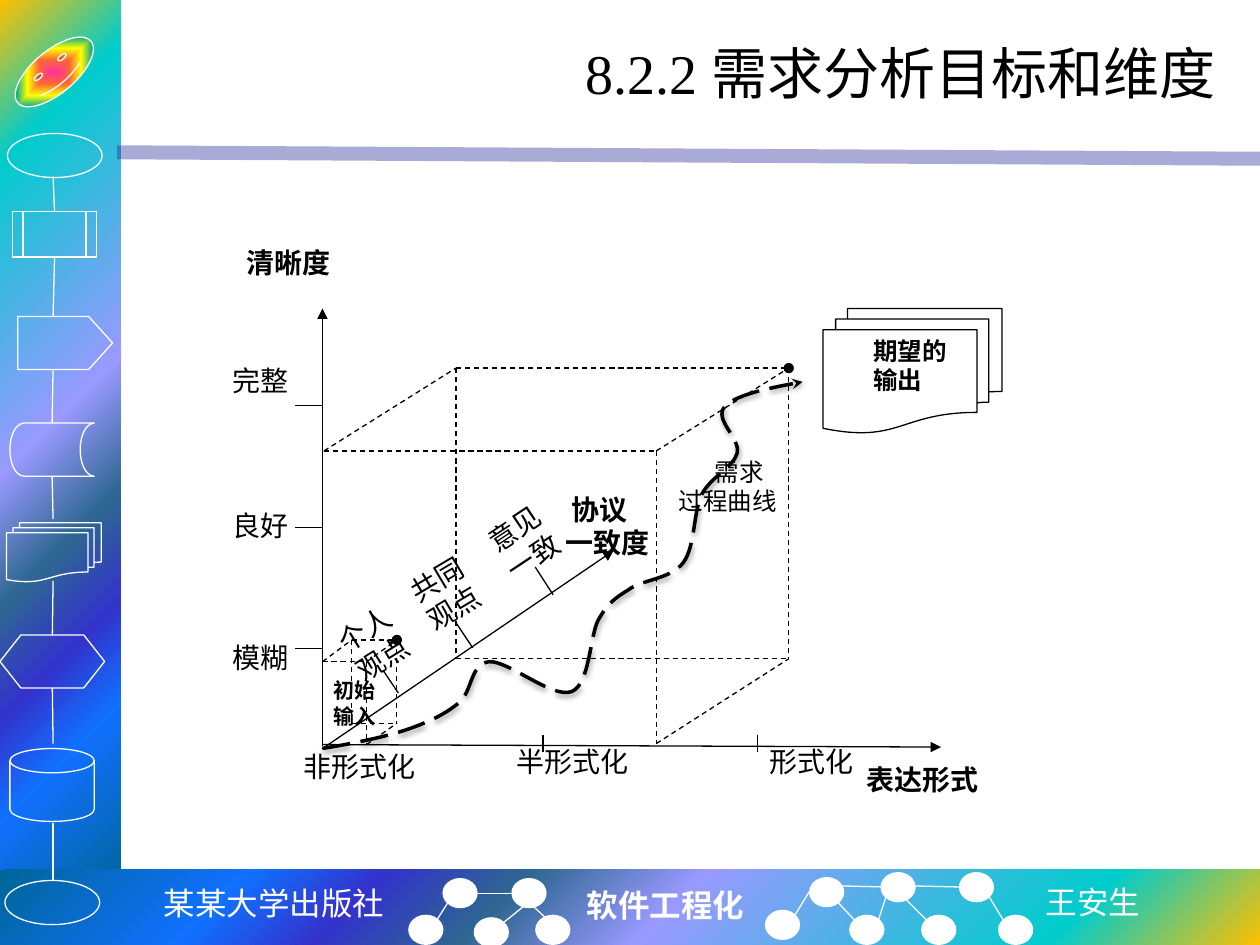
"""Build the slide on requirements analysis goals and dimensions."""
from dataclasses import dataclass

from lxml import etree
from pptx import Presentation
from pptx import util as u
from pptx.dml.color import RGBColor
from pptx.enum import dml, shapes, text
from pptx.oxml.ns import qn

MSO = shapes.MSO_SHAPE


@dataclass(frozen=True)
class Theme:
    ink: str = "000000"
    paper: str = "FFFFFF"
    rule: str = "262699"
    font: str = "Times New Roman"
    mono: str = "DejaVu Sans Mono"
    cjk: str = "Noto Sans CJK SC"
    title: int = 32
    footer: int = 18
    label: int = 16
    note: int = 14
    small: int = 12
    thin: float = 0.75
    band: tuple = ((0, "FFC000"), (16, "00CCCC"), (47, "9999FF"), (60, "2E6792"),
                   (71, "3333CC"), (81, "1170FF"), (100, "006699"))
    rainbow: tuple = ((0, "FF3399"), (25, "FF6633"), (50, "FFFF00"),
                      (75, "01A78F"), (100, "3366FF"))


T = Theme()


def cm(*inches):
    return [u.Cm(round(v * 2.54, 2)) for v in inches]


def sub(parent, tag, **attrs):
    return etree.SubElement(parent, qn("a:" + tag), {k: str(v) for k, v in attrs.items()})


def style_line(sp, color, width=T.thin, dash=None, tail=None, alpha=None):
    sp.line.color.rgb = RGBColor.from_string(color)
    sp.line.width = u.Pt(width)
    if dash:
        sp.line.dash_style = dash
    ln = sp.element.spPr.find(qn("a:ln"))
    if alpha:
        sub(ln.find(".//" + qn("a:srgbClr")), "alpha", val=alpha * 1000)
    if tail:
        sub(ln, "tailEnd", type=tail)


def line(s, x1, y1, x2, y2, color=T.ink, begin=None, end=None, **style):
    sp = s.shapes.add_connector(shapes.MSO_CONNECTOR.STRAIGHT, *cm(x1, y1, x2, y2))
    if begin:
        sp.begin_connect(begin, 2)
    if end:
        sp.end_connect(end, 0)
    style_line(sp, color, **style)
    sub(sp.element.spPr, "effectLst")


def shape(s, kind, box, fill=None, outline=None):
    sp = s.shapes.add_shape(kind, *cm(*box))
    sp.shadow.inherit = False
    if fill:
        sp.fill.solid()
        sp.fill.fore_color.rgb = RGBColor.from_string(fill)
    else:
        sp.fill.background()
    if outline:
        style_line(sp, outline)
    else:
        sp.line.fill.background()
    return sp


def gradient(sp, stops, kind, focus):
    sp.fill.gradient()
    grad = sp.element.spPr.find(qn("a:gradFill"))
    del grad[:]
    gs = sub(grad, "gsLst")
    for pos, color in stops:
        sub(sub(gs, "gs", pos=pos * 1000), "srgbClr", val=color)
    sides = {side: v * 1000 for side, v in zip("ltrb", focus)}
    sub(sub(grad, "path", path=kind), "fillToRect", **sides)


def write(sp, lines, size=T.label, bold=False, color=T.ink, font=T.font, indent=0.3,
          align=text.PP_ALIGN.LEFT, anchor=text.MSO_ANCHOR.TOP, wrap=True):
    tf = sp.text_frame
    tf.word_wrap = wrap
    tf.vertical_anchor = anchor
    for i, words in enumerate(lines.split("\n")):
        p = tf.add_paragraph() if i else tf.paragraphs[0]
        p.add_run().text = words
        p.alignment = align
        p.font.size, p.font.bold, p.font.name = u.Pt(size), bold, font
        p.font.color.rgb = RGBColor.from_string(color)
        if indent:
            pPr = p._p.get_or_add_pPr()
            pPr.set("marL", "0")
            pPr.set("indent", str(cm(indent)[0]))
    return tf


def label(s, box, lines, rotation=0, **style):
    sp = s.shapes.add_textbox(*cm(*box))
    sp.rotation = rotation
    return write(sp, lines, **style)


def dashed_cube(s, front, back):
    (l, t, r, b), (bl, bt, br, bb) = front, back
    edges = [(l, t, bl, bt), (l, t, r, t), (bl, bt, br, bt), (bl, bt, bl, bb),
             (bl, bb, br, bb), (br, bt, br, bb), (r, t, r, b), (r, b, br, bb)]
    for edge in edges:
        line(s, *edge, dash=dml.MSO_LINE.DASH)
    line(s, r, t, br, bt, dash=dml.MSO_LINE.DASH, tail="oval")


def curve(s, points):
    emu = [cm(*pt) for pt in points]
    fb = s.shapes.build_freeform(*emu[0], scale=1.0)
    fb.add_line_segments(emu[1:], close=False)
    sp = fb.convert_to_shape()
    sp.fill.background()
    style_line(sp, T.ink, 2, dml.MSO_LINE.LONG_DASH, "stealth")
    outline = sp.element.spPr.find(".//" + qn("a:path"))
    segments = outline.findall(qn("a:lnTo"))
    for i in range(0, len(segments), 3):
        bezier = sub(outline, "cubicBezTo")
        for seg in segments[i:i + 3]:
            bezier.append(seg[0])
            outline.remove(seg)
    sp.shadow.inherit = False
    shadow = sub(sp.element.spPr.find(qn("a:effectLst")), "outerShdw", blurRad=u.Pt(3.1),
                 dist=u.Pt(1.6), dir=90 * 60000, algn="t", rotWithShape=0)
    sub(sub(shadow, "srgbClr", val=T.ink), "alpha", val=38000)


def side_bar(s):
    icons = {
        "process": (MSO.FLOWCHART_PREDEFINED_PROCESS, (0.1, 1.68, 0.67, 0.36)),
        "storage": (MSO.FLOWCHART_STORED_DATA, (0.08, 3.36, 0.67, 0.42)),
        "disk": (MSO.FLOWCHART_MAGNETIC_DISK, (0.08, 5.94, 0.67, 0.58)),
        "preparation": (MSO.FLOWCHART_PREPARATION, (0, 5.04, 0.83, 0.42)),
        "documents": (MSO.FLOWCHART_MULTIDOCUMENT, (0.05, 4.15, 0.75, 0.47)),
        "arrow": (MSO.PENTAGON, (0.14, 2.51, 0.75, 0.42)),
        "start": (MSO.OVAL, (0.06, 1.06, 0.75, 0.35)),
        "end": (MSO.OVAL, (0.04, 6.99, 0.75, 0.35)),
    }
    icons["storage"] = (MSO.FLOWCHART_DIRECT_ACCESS_STORAGE, icons["storage"][1])
    made = {k: shape(s, kind, box, outline=T.paper) for k, (kind, box) in icons.items()}
    made["storage"].element.spPr.find(qn("a:prstGeom")).set("prst", "flowChartOnlineStorage")
    made["arrow"].adjustments[0] = 0.45
    face = shape(s, MSO.SMILEY_FACE, (0.05, 0.4, 0.76, 0.34), outline=T.paper)
    face.adjustments[0] = 0.047
    face.rotation = 320
    gradient(face, T.rainbow, "shape", (50, 50, 50, 50))
    links = [(1.4, 1.68, None, "process"), (2.05, 2.51, "process", None),
             (2.93, 3.35, None, "storage"), (3.79, 4.12, "storage", None),
             (4.61, 5.03, None, "preparation"), (5.49, 5.9, "preparation", None),
             (6.53, 6.99, None, None)]
    for y1, y2, begin, end in links:
        line(s, 0.42, y1, 0.42, y2, T.paper, made.get(begin), made.get(end))


def footer(s):
    label(s, (1.19, 6.97, 1.97, 0.4), "某某大学出版社", size=T.footer, color=T.paper,
          font=T.mono, indent=0, align=text.PP_ALIGN.CENTER, wrap=False)
    label(s, (4.56, 6.98, 1.46, 0.4), "软件工程化", size=T.footer, color=T.paper,
          bold=True, indent=0, wrap=False)
    label(s, (8.2, 6.96, 0.96, 0.4), "王安生", size=T.footer, color=T.paper,
          font=T.cjk, indent=0, wrap=False)
    nodes = [(3.51, 6.97), (6.42, 6.96), (3.24, 7.26), (6.74, 7.26), (6.99, 6.92), (3.76, 7.28),
             (7.61, 6.92), (7.92, 7.26), (7.31, 7.26), (4.06, 6.97), (6.07, 7.22), (4.25, 7.26)]
    for x, y in nodes:
        shape(s, MSO.OVAL, (x, y, 0.28, 0.24), fill=T.paper)
    links = [(3.47, 7.3, 3.55, 7.17), (4, 7.32, 4.16, 7.19), (4.06, 7.09, 3.79, 7.09),
             (6.78, 7.3, 6.65, 7.16), (7.35, 7.3, 7.15, 7.1), (7.96, 7.3, 7.85, 7.12),
             (6.97, 7.31, 7.03, 7.12), (7.26, 7.03, 7.61, 7.04), (6.31, 7.26, 6.42, 7.08),
             (6.68, 7.03, 7.03, 7.04), (4.34, 7.29, 4.24, 7.2)]
    for link in links:
        line(s, *link, T.paper)


def axes(s):
    scale = [((1.56, 1.9, 1.2, 0.58), "清晰度", True), ((1.45, 2.84, 0.98, 0.58), "完整", False),
             ((1.45, 3.99, 1.02, 0.58), "良好", False), ((1.45, 5.03, 1.02, 0.56), "模糊", False)]
    for box, words, bold in scale:
        write(shape(s, MSO.RECTANGLE, box, fill=T.paper), words, bold=bold)
    forms = [((2.01, 5.9, 1.46, 0.27), "非形式化", False), ((3.7, 5.86, 1.46, 0.41), "半形式化", False),
             ((5.71, 5.86, 1.3, 0.41), "形式化", False), ((6.48, 6, 1.48, 0.41), "表达形式", True)]
    for box, words, bold in forms:
        label(s, box, words, bold=bold)
    views = [((2.4, 4.72, 1.44, 0.9), "个人\n观点", 328.3), ((2.97, 4.33, 1.42, 0.9), "共同\n观点", 329.3),
             ((3.61, 3.96, 1.26, 0.9), "意见\n一致", 326.4)]
    for box, words, rotation in views:
        label(s, box, words, rotation)
    label(s, (4.39, 3.86, 0.94, 0.71), " 协议\n一致度", bold=True, indent=0)
    for axis in [(2.56, 5.92, 2.56, 2.45), (2.56, 5.94, 4.87, 4.37), (2.56, 5.91, 7.47, 5.93)]:
        line(s, *axis, tail="triangle")
    ticks = [(2.34, y, 2.56, y) for y in (3.22, 4.19, 5.15)]
    ticks += [(x, 5.83, x, 5.97) for x in (4.31, 6.01)]
    ticks += [(3.04, 5.32, 3.16, 5.5), (3.62, 4.94, 3.75, 5.14), (4.25, 4.5, 4.39, 4.72)]
    for tick in ticks:
        line(s, *tick)


def main():
    prs = Presentation()
    prs.slide_width, prs.slide_height = cm(10, 7.5)
    s = prs.slides.add_slide(prs.slide_layouts[6])
    gradient(shape(s, MSO.RECTANGLE, (0, 0, 0.96, 7.09)), T.band, "circle", (0, 0, 100, 100))
    gradient(shape(s, MSO.RECTANGLE, (0, 6.9, 10, 0.6)), T.band, "circle", (100, 100, 0, 0))
    line(s, 0.93, 1.21, 10, 1.26, T.rule, width=8, alpha=39)
    side_bar(s)
    footer(s)
    label(s, (1.25, 0.17, 8.5, 0.81), "8.2.2 需求分析目标和维度", size=T.title, indent=0,
          align=text.PP_ALIGN.RIGHT, anchor=text.MSO_ANCHOR.MIDDLE)
    axes(s)
    dashed_cube(s, (2.56, 5.25, 2.91, 5.91), (2.79, 5.08, 3.15, 5.74))
    label(s, (2.25, 5.33, 0.99, 0.51), "初始\n输入", size=T.small, bold=True)
    dashed_cube(s, (2.57, 3.58, 5.21, 5.9), (3.62, 2.92, 6.26, 5.23))
    output = shape(s, MSO.FLOWCHART_MULTIDOCUMENT, (6.53, 2.45, 1.42, 0.99), outline=T.ink)
    write(output, "期望的\n输出", size=T.note, bold=True)
    tf = label(s, (4.99, 3.58, 1.46, 0.59), "需求\n过程曲线", size=T.note)
    tf.paragraphs[0].alignment = text.PP_ALIGN.CENTER
    curve(s, [(2.56, 5.94), (2.8, 5.9), (3.05, 5.85), (3.23, 5.79), (3.41, 5.73), (3.53, 5.67),
              (3.64, 5.58), (3.75, 5.49), (3.73, 5.27), (3.88, 5.25), (4.03, 5.24), (4.39, 5.55),
              (4.54, 5.49), (4.68, 5.43), (4.68, 5.05), (4.75, 4.92), (4.83, 4.78), (4.88, 4.75),
              (4.99, 4.68), (5.1, 4.6), (5.32, 4.6), (5.42, 4.47), (5.52, 4.34), (5.5, 4.07),
              (5.57, 3.92), (5.65, 3.78), (5.82, 3.71), (5.85, 3.6), (5.88, 3.48), (5.66, 3.33),
              (5.75, 3.23), (5.83, 3.14), (6.1, 3.08), (6.37, 3.03)])
    prs.save("out.pptx")


if __name__ == "__main__":
    main()
